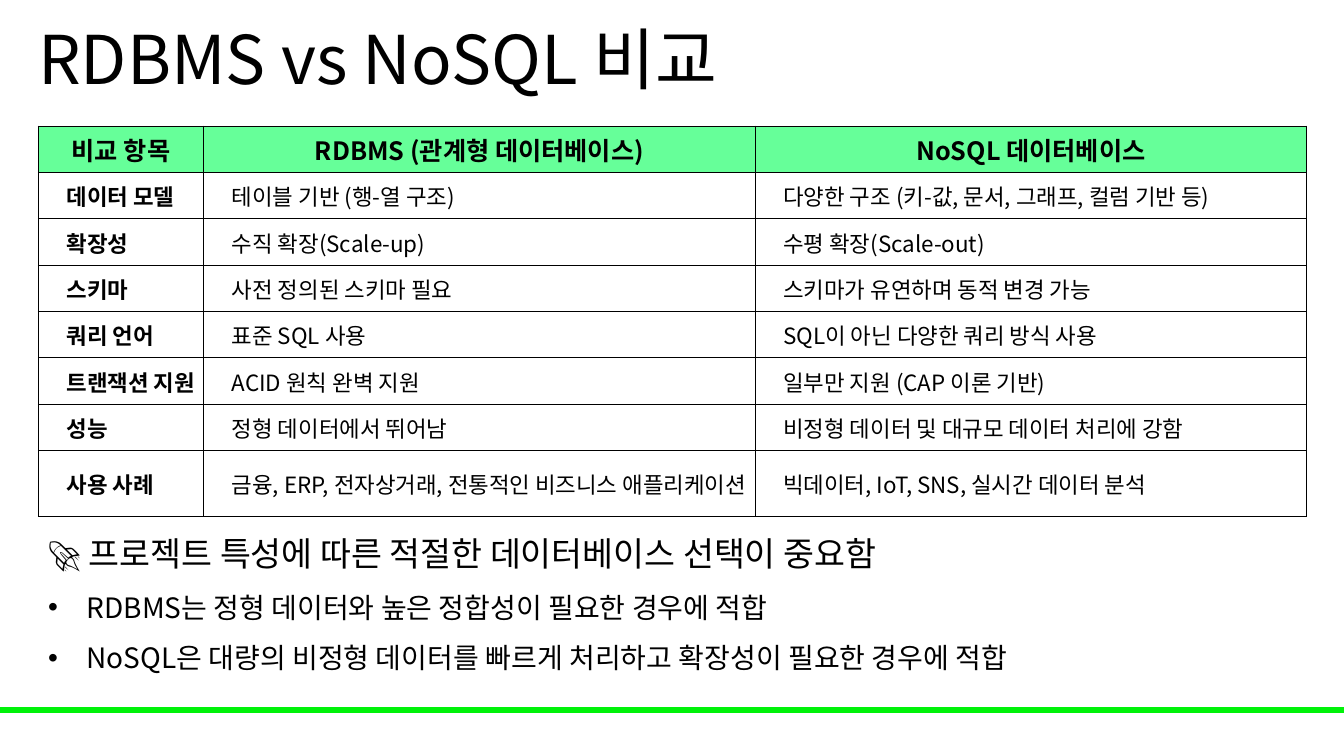
from dataclasses import dataclass

from lxml.etree import SubElement
from pptx import Presentation
from pptx.dml.color import RGBColor
from pptx.enum.shapes import MSO_SHAPE
from pptx.enum.text import MSO_ANCHOR, MSO_AUTO_SIZE, PP_ALIGN
from pptx.oxml.ns import qn
from pptx.slide import Slide
from pptx.table import _Cell
from pptx.text.text import _Paragraph
from pptx.util import Inches, Pt

FONT = "Noto Sans CJK KR"
BLACK = "000000"
HEADER_GREEN = "66FF99"
BAR_GREEN = "00F209"
COLUMN_WIDTHS = (1.64, 5.47, 5.47)
ROW_HEIGHT = 0.46


@dataclass(frozen=True)
class Comparison:
    """One table row: a topic and what each database type offers."""

    topic: str
    relational: str
    nosql: str


@dataclass(frozen=True)
class Remark:
    """One line of the conclusion."""

    text: str
    size: int
    bulleted: bool = True


HEADER = Comparison("비교 항목", "RDBMS (관계형 데이터베이스)", "NoSQL 데이터베이스")
COMPARISONS = (
    Comparison("데이터 모델", "테이블 기반 (행-열 구조)", "다양한 구조 (키-값, 문서, 그래프, 컬럼 기반 등)"),
    Comparison("확장성", "수직 확장(Scale-up)", "수평 확장(Scale-out)"),
    Comparison("스키마", "사전 정의된 스키마 필요", "스키마가 유연하며 동적 변경 가능"),
    Comparison("쿼리 언어", "표준 SQL 사용", "SQL이 아닌 다양한 쿼리 방식 사용"),
    Comparison("트랜잭션 지원", "ACID 원칙 완벽 지원", "일부만 지원 (CAP 이론 기반)"),
    Comparison("성능", "정형 데이터에서 뛰어남", "비정형 데이터 및 대규모 데이터 처리에 강함"),
    Comparison(
        "사용 사례",
        "금융, ERP, 전자상거래, 전통적인 비즈니스 애플리케이션",
        "빅데이터, IoT, SNS, 실시간 데이터 분석",
    ),
)
REMARKS = (
    Remark("🚀 프로젝트 특성에 따른 적절한 데이터베이스 선택이 중요함", 24, bulleted=False),
    Remark("RDBMS는 정형 데이터와 높은 정합성이 필요한 경우에 적합", 20),
    Remark("NoSQL은 대량의 비정형 데이터를 빠르게 처리하고 확장성이 필요한 경우에 적합", 20),
)


def color(value: str) -> RGBColor:
    """Turn a hex string into a colour."""
    return RGBColor.from_string(value)


def add_text(paragraph: _Paragraph, text: str, size: int, bold: bool = False) -> None:
    """Add one formatted run, with the font set for Latin and Korean text."""
    run = paragraph.add_run()
    run.text = text
    run.font.size = Pt(size)
    run.font.bold = bold
    run.font.color.rgb = color(BLACK)
    run.font.name = FONT
    SubElement(run.font._element, qn("a:ea"), typeface=FONT)


def add_borders(cell: _Cell) -> None:
    """Draw a thin black line on every side of a cell."""
    properties = cell._tc.get_or_add_tcPr()
    for index, side in enumerate(("a:lnL", "a:lnR", "a:lnT", "a:lnB")):
        line = SubElement(properties, qn(side), w=str(Pt(0.5)))
        fill = SubElement(line, qn("a:solidFill"))
        SubElement(fill, qn("a:srgbClr"), val=BLACK)
        properties.insert(index, line)


def fill_cell(cell: _Cell, text: str, is_header: bool, is_topic: bool) -> None:
    """Format a table cell and write its text."""
    cell.vertical_anchor = MSO_ANCHOR.MIDDLE
    cell.margin_left = Inches(0.01 if is_header else 0.28)
    cell.margin_right = cell.margin_top = Inches(0.01)
    cell.margin_bottom = Inches(0)
    if is_header:
        cell.fill.solid()
        cell.fill.fore_color.rgb = color(HEADER_GREEN)
    else:
        cell.fill.background()
    add_borders(cell)
    paragraph = cell.text_frame.paragraphs[0]
    paragraph.alignment = PP_ALIGN.CENTER if is_header else PP_ALIGN.LEFT
    add_text(paragraph, text, 18 if is_header else 16, is_header or is_topic)


def add_bar(slide: Slide) -> None:
    """Draw the green bar near the bottom edge."""
    bar = slide.shapes.add_shape(
        MSO_SHAPE.RECTANGLE, Inches(0), Inches(7.02), Inches(13.33), Inches(0.05)
    )
    bar.shadow.inherit = False
    bar.fill.solid()
    bar.fill.fore_color.rgb = color(BAR_GREEN)
    bar.line.color.rgb = color(BAR_GREEN)
    bar.line.width = Pt(1)


def set_title(slide: Slide) -> None:
    """Place and write the slide title."""
    title = slide.shapes.title
    title.left, title.top = Inches(0.28), Inches(0)
    title.width, title.height = Inches(11.5), Inches(1.25)
    frame = title.text_frame
    frame.word_wrap = True
    frame.vertical_anchor = MSO_ANCHOR.MIDDLE
    paragraph = frame.paragraphs[0]
    paragraph.alignment = PP_ALIGN.LEFT
    paragraph.line_spacing = 0.9
    add_text(paragraph, "RDBMS vs NoSQL 비교", 48)


def add_comparison_table(slide: Slide) -> None:
    """Build the comparison table."""
    rows = (HEADER, *COMPARISONS)
    table = slide.shapes.add_table(
        len(rows), len(COLUMN_WIDTHS), Inches(0.38), Inches(1.25),
        Inches(sum(COLUMN_WIDTHS)), Inches(ROW_HEIGHT * len(rows)),
    ).table
    table.horz_banding = False
    for column, width in zip(table.columns, COLUMN_WIDTHS):
        column.width = Inches(width)
    for row_index, row in enumerate(rows):
        table.rows[row_index].height = Inches(ROW_HEIGHT)
        for column_index, text in enumerate((row.topic, row.relational, row.nosql)):
            fill_cell(table.cell(row_index, column_index), text, row_index == 0, column_index == 0)


def add_bullet(paragraph: _Paragraph) -> None:
    """Give a paragraph a hanging round bullet."""
    properties = paragraph._p.get_or_add_pPr()
    properties.set("marL", str(Inches(0.38)))
    properties.set("indent", str(-Inches(0.38)))
    SubElement(properties, qn("a:buFont"), typeface="Arial")
    SubElement(properties, qn("a:buChar"), char="•")


def add_conclusion(slide: Slide) -> None:
    """Write the conclusion below the table."""
    box = slide.shapes.add_textbox(Inches(0.38), Inches(5.04), Inches(11.5), Inches(1.66))
    frame = box.text_frame
    frame.word_wrap = True
    frame.auto_size = MSO_AUTO_SIZE.SHAPE_TO_FIT_TEXT
    for index, remark in enumerate(REMARKS):
        paragraph = frame.add_paragraph() if index else frame.paragraphs[0]
        if remark.bulleted:
            add_bullet(paragraph)
        paragraph.line_spacing = 1.5
        add_text(paragraph, remark.text, remark.size)


def main() -> None:
    """Build and save the presentation."""
    presentation = Presentation()
    presentation.slide_width = Inches(13.33)
    presentation.slide_height = Inches(7.5)
    slide = presentation.slides.add_slide(presentation.slide_layouts[5])
    add_bar(slide)
    set_title(slide)
    add_comparison_table(slide)
    add_conclusion(slide)
    presentation.save("out.pptx")


if __name__ == "__main__":
    main()
